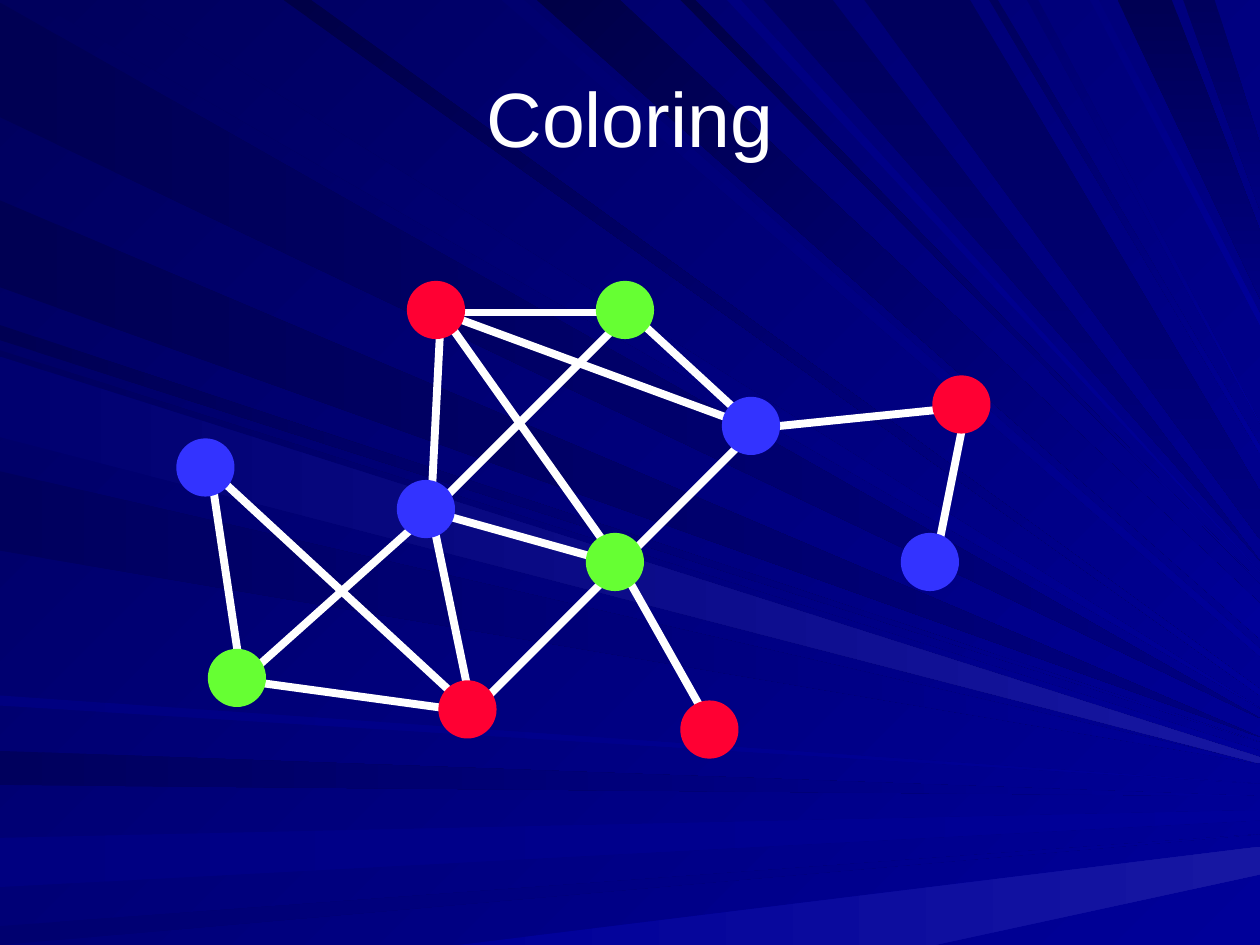
from lxml import etree
from pptx import Presentation
from pptx.dml.color import RGBColor
from pptx.enum.shapes import MSO_CONNECTOR, MSO_SHAPE
from pptx.enum.text import MSO_ANCHOR, PP_ALIGN
from pptx.oxml.ns import qn
from pptx.util import Cm, Pt

STRAIGHT = MSO_CONNECTOR.STRAIGHT
OVAL = MSO_SHAPE.OVAL
MIDDLE = MSO_ANCHOR.MIDDLE
CENTER = PP_ALIGN.CENTER

CM_PER_UNIT = 2.54
WIDTH, HEIGHT = 10, 7.5
TITLE = "Coloring"
TITLE_AREA = (0.5, 0.3, 9, 1.25)
NODE_SIZE = 0.42
JOINT_X, JOINT_Y = 0.25, 0.23

COLORS = {
    "white": "FFFFFF",
    "red": "FF0033",
    "green": "66FF33",
    "blue": "3333FF",
    "ink": "000047",
    "night": "000053",
    "dark": "00005D",
    "deep": "00006F",
    "navy": "000080",
    "royal": "000099",
    "glow": "1717A2",
}

# side, start and end on that side, first color, last color, tip, tip spread
RAYS = [
    ("left", 0.02, 0.93, "night", "navy", 5.7),
    ("top", 0.26, 1.01, "dark", "royal", 5.62),
    ("left", 5.96, 6.23, "dark", "royal", 6.32),
    ("left", 6.65, 7.04, "navy", "royal", 6.43, 0.08),
    ("left", 7.35, 7.5, "deep", "royal", 6.62),
    ("bottom", 3.64, 7.42, "royal", "glow", 6.72, 0.22),
    ("left", 2.58, 2.7, "night", "royal", 5.89),
    ("left", 1.59, 2.28, "night", "navy", 5.85),
    ("top", 3.98, 4.16, "deep", "royal", 5.15, 0.06),
    ("top", 4.26, 4.92, "ink", "royal", 4.79, 0.28),
    ("top", 5.4, 5.52, "ink", "royal", 4.63),
    ("top", 6.06, 6.61, "dark", "navy", 4.45),
    ("top", 8.87, 9.3, "night", "navy", 1.83, 0.54),
    ("top", 9.39, 9.64, "dark", "navy", 1.14, 0.53),
    ("left", 2.78, 3.42, "dark", "royal", 5.96, 0.06),
    ("left", 3.74, 4.37, "dark", "royal", 6.06),
    ("left", 5.52, 5.6, "navy", "royal", 6.22),
    ("top", 2.25, 2.47, "ink", "royal", 5.47, 0.05),
    ("top", 5.77, 5.88, "navy", "royal", 4.54),
    ("top", 6.86, 7.7, "dark", "navy", 3.9, 0.38),
    ("top", 7.85, 7.92, "dark", "royal", 3.54, 0.06),
    ("top", 8.15, 8.24, "deep", "royal", 3.36),
    ("top", 8.65, 8.72, "navy", "royal", 2.49, 0.09),
    ("left", 2.83, 3.47, "deep", "glow", 6.01, 0.05),
]

NODES = {
    "A": (3.25, 2.25, "red"),
    "B": (1.42, 3.5, "blue"),
    "C": (4.67, 4.25, "green"),
    "D": (5.42, 5.58, "red"),
    "E": (5.75, 3.17, "blue"),
    "F": (7.17, 4.25, "blue"),
    "G": (7.42, 3, "red"),
    "H": (1.67, 5.17, "green"),
    "I": (3.17, 3.83, "blue"),
    "J": (3.5, 5.42, "red"),
    "K": (4.75, 2.25, "green"),
}
EDGES = "BH HI AI IJ CI CJ KE CD GF GE KA KI AC EC EA BJ HJ".split()


def lengths(*values):
    return [Cm(value * CM_PER_UNIT) for value in values]


def color(name):
    return RGBColor.from_string(COLORS[name])


def paint(fill, first, last, angle):
    fill.gradient()
    fill.gradient_angle = (360 - angle) % 360
    for stop, name in zip(fill.gradient_stops, (first, last)):
        stop.color.rgb = color(name)


def add_ray(shapes, side, start, end, first, last, tip, spread=0):
    upper, lower = (WIDTH, tip), (WIDTH, tip + spread)
    if side == "left":
        outline = [(0, start), (0, end), lower, upper]
        angle = 0
    elif side == "top":
        outline = [(start, 0), (end, 0), upper, lower]
        angle = 90 if last == "navy" else 45
    else:
        outline = [(start, HEIGHT), (end, HEIGHT), lower, upper]
        angle = 0
    points = [lengths(*point) for point in outline]
    builder = shapes.build_freeform(*points[0])
    builder.add_line_segments(points[1:], close=True)
    ray = builder.convert_to_shape()
    ray.shadow.inherit = False
    ray.line.fill.background()
    paint(ray.fill, first, last, angle)


def add_title(shapes):
    title = shapes.title
    shapes.element.append(title.element)
    title.left, title.top, title.width, title.height = lengths(*TITLE_AREA)
    frame = title.text_frame
    frame.text = TITLE
    frame.vertical_anchor = MIDDLE
    para = frame.paragraphs[0]
    para.alignment = CENTER
    font = para.runs[0].font
    font.name = "Arial"
    font.size = Pt(44)
    font.color.rgb = color("white")


def joint(name):
    left, top, _ = NODES[name]
    return lengths(left + JOINT_X, top + JOINT_Y)


def add_edge(shapes, start, end):
    edge = shapes.add_connector(STRAIGHT, *joint(start), *joint(end))
    edge.line.color.rgb = color("white")
    edge.line.width = Pt(4.5)
    etree.SubElement(edge.element.spPr, qn("a:effectLst"))


def add_node(shapes, left, top, name):
    node = shapes.add_shape(OVAL, *lengths(left, top, NODE_SIZE, NODE_SIZE))
    node.shadow.inherit = False
    node.fill.solid()
    node.fill.fore_color.rgb = color(name)
    node.line.color.rgb = color(name)
    node.line.width = Pt(3)


def main():
    deck = Presentation()
    deck.slide_width, deck.slide_height = lengths(WIDTH, HEIGHT)
    page = deck.slides.add_slide(deck.slide_layouts[5])
    paint(page.background.fill, "dark", "royal", 45)
    for ray in RAYS:
        add_ray(page.shapes, *ray)
    add_title(page.shapes)
    for start, end in EDGES:
        add_edge(page.shapes, start, end)
    for node in NODES.values():
        add_node(page.shapes, *node)
    deck.save("out.pptx")


if __name__ == "__main__":
    main()
